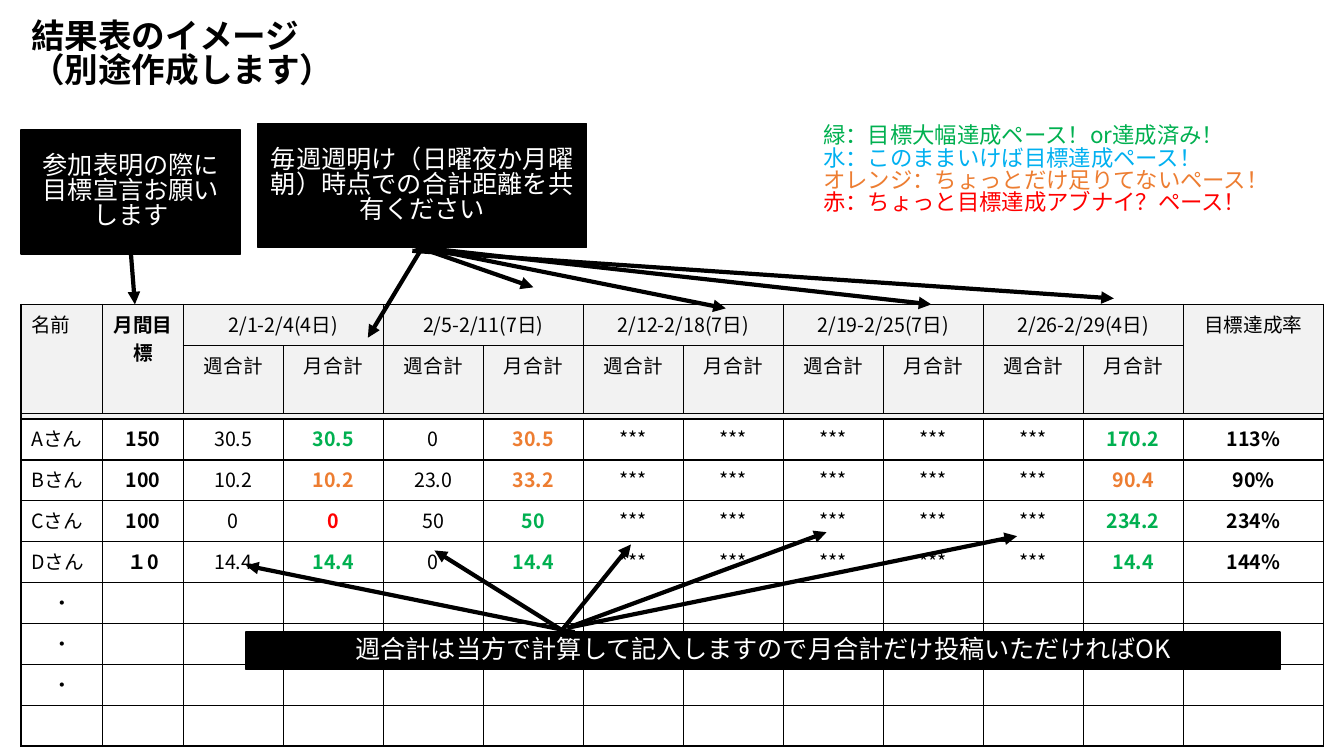
from lxml import etree
from pptx import Presentation
from pptx import util as u
from pptx.dml.color import RGBColor
from pptx.enum import shapes, text
from pptx.oxml import ns

FONT = "Noto Sans CJK JP"
COLORS = {
    "black": "000000", "white": "FFFFFF", "header": "F2F2F2",
    "green": "00B050", "aqua": "00B0F0", "orange": "ED7D31", "red": "FF0000",
}
WEEKS = ["2/1-2/4(4日)", "2/5-2/11(7日)", "2/12-2/18(7日)", "2/19-2/25(7日)", "2/26-2/29(4日)"]
HIDDEN = ["***"] * 5
RESULTS = [
    ["Aさん", "150", "30.5", ("30.5", "green"), "0", ("30.5", "orange"), *HIDDEN, ("170.2", "green"), "113%"],
    ["Bさん", "100", "10.2", ("10.2", "orange"), "23.0", ("33.2", "orange"), *HIDDEN, ("90.4", "orange"), "90%"],
    ["Cさん", "100", "0", ("0", "red"), "50", ("50", "green"), *HIDDEN, ("234.2", "green"), "234%"],
    ["Dさん", "１0", "14.4", ("14.4", "green"), "0", ("14.4", "green"), *HIDDEN, ("14.4", "green"), "144%"],
]
COLUMN_WIDTHS = [2.06, 2.03] + [2.52] * 10 + [3.54]
ROW_HEIGHTS = [1.04, 1.7, 0.15] + [1.03] * 8
DIVIDER_ROW, FIRST_RESULT_ROW = 2, 3
GOAL_COLUMN, RATE_COLUMN = 1, 12
LEGEND = [
    ("緑：目標大幅達成ペース！or達成済み！", "green"),
    ("水：このままいけば目標達成ペース！", "aqua"),
    ("オレンジ：ちょっとだけ足りてないペース！", "orange"),
    ("赤：ちょっと目標達成アブナイ？ペース！", "red"),
]


def rgb(name):
    """Return the named colour."""
    return RGBColor.from_string(COLORS[name])


def add_run(paragraph, words, size, color="black", bold=False):
    """Append one formatted run to a paragraph."""
    run = paragraph.add_run()
    run.text = words
    run.font.size = u.Pt(size)
    run.font.bold = bold
    run.font.name = FONT
    run.font.color.rgb = rgb(color)
    etree.SubElement(run._r.get_or_add_rPr(), ns.qn("a:ea"), typeface=FONT)


def write_lines(frame, lines, size, bold=False, align=text.PP_ALIGN.LEFT):
    """Fill a text frame with one paragraph per (words, colour) line."""
    frame.word_wrap = True
    for number, (words, color) in enumerate(lines):
        paragraph = frame.add_paragraph() if number else frame.paragraphs[0]
        paragraph.alignment = align
        paragraph.line_spacing = 0.83
        paragraph.space_before = u.Pt(0)
        add_run(paragraph, words, size, color, bold)


def add_title(slide):
    """Place the two-line title at the top left."""
    title = slide.shapes.title
    title.left, title.top, title.width, title.height = map(u.Cm, (0.53, 0.43, 8.28, 2.31))
    title.text_frame.auto_size = text.MSO_AUTO_SIZE.NONE
    title.text_frame.vertical_anchor = text.MSO_ANCHOR.TOP
    write_lines(title.text_frame, [("結果表のイメージ", "black"), ("（別途作成します）", "black")], 24, bold=True)


def add_legend(slide):
    """Add the colour explanations at the top right."""
    legend = slide.shapes.add_textbox(*map(u.Cm, (20.5, 3.05, 12.85, 3)))
    write_lines(legend.text_frame, LEGEND, 16)


def add_note(slide, words, *place):
    """Add a black box with centred white words."""
    note = slide.shapes.add_shape(shapes.MSO_SHAPE.RECTANGLE, *map(u.Cm, place))
    note.shadow.inherit = False
    note.fill.solid()
    note.fill.fore_color.rgb = rgb("black")
    note.line.color.rgb = rgb("black")
    note.line.width = u.Pt(1)
    note.text_frame.vertical_anchor = text.MSO_ANCHOR.MIDDLE
    write_lines(note.text_frame, [(words, "white")], 18, align=text.PP_ALIGN.CENTER)
    return note


def add_arrow(slide, start, end, note=None):
    """Draw an arrow, joined to the bottom of a note if one is given."""
    arrow = slide.shapes.add_connector(shapes.MSO_CONNECTOR.STRAIGHT, *map(u.Cm, start + end))
    if note is not None:
        arrow.begin_connect(note, 2)
    arrow.line.color.rgb = rgb("black")
    arrow.line.width = u.Pt(3)
    etree.SubElement(arrow.line._get_or_add_ln(), ns.qn("a:tailEnd"), type="triangle")
    etree.SubElement(arrow._element.spPr, ns.qn("a:effectLst"))


def style_cell(cell, row):
    """Set borders, fill, and the height of an empty line."""
    properties = cell._tc.get_or_add_tcPr()
    for side in ("a:lnL", "a:lnR", "a:lnT", "a:lnB"):
        border = etree.SubElement(properties, ns.qn(side), w=str(u.Pt(1)))
        fill = etree.SubElement(border, ns.qn("a:solidFill"))
        etree.SubElement(fill, ns.qn("a:srgbClr"), val=COLORS["black"])
    if row < FIRST_RESULT_ROW:
        cell.fill.solid()
        cell.fill.fore_color.rgb = rgb("header")
    else:
        cell.fill.background()
    if row == DIVIDER_ROW:
        cell.margin_top = cell.margin_bottom = 0
    size = "100" if row == DIVIDER_ROW else "1400"
    etree.SubElement(cell.text_frame.paragraphs[0]._p, ns.qn("a:endParaRPr"), sz=size)


def write_cell(cell, words, color="black", bold=False, align=text.PP_ALIGN.CENTER):
    """Write one run into a table cell."""
    paragraph = cell.text_frame.paragraphs[0]
    paragraph.alignment = align
    add_run(paragraph, words, 14, color, bold)


def write_header(table):
    """Merge and label the header rows."""
    for column, label in ((0, "名前"), (GOAL_COLUMN, "月間目標"), (RATE_COLUMN, "目標達成率")):
        table.cell(0, column).merge(table.cell(1, column))
        align = text.PP_ALIGN.CENTER if column else text.PP_ALIGN.LEFT
        write_cell(table.cell(0, column), label, bold=column == GOAL_COLUMN, align=align)
    for week, label in enumerate(WEEKS):
        column = 2 + 2 * week
        table.cell(0, column).merge(table.cell(0, column + 1))
        write_cell(table.cell(0, column), label)
        write_cell(table.cell(1, column), "週合計")
        write_cell(table.cell(1, column + 1), "月合計")
    table.cell(DIVIDER_ROW, 0).merge(table.cell(DIVIDER_ROW, RATE_COLUMN))


def write_results(table):
    """Write each member's distances and the rows left open."""
    for row, record in enumerate(RESULTS, FIRST_RESULT_ROW):
        for column, entry in enumerate(record):
            words, color = entry if isinstance(entry, tuple) else (entry, "black")
            bold = color != "black" or column in (GOAL_COLUMN, RATE_COLUMN)
            align = text.PP_ALIGN.CENTER if column else text.PP_ALIGN.LEFT
            write_cell(table.cell(row, column), words, color, bold, align)
    first_open = FIRST_RESULT_ROW + len(RESULTS)
    for row in range(first_open, first_open + 3):
        write_cell(table.cell(row, 0), "・")


def add_results_table(slide):
    """Add the monthly results table."""
    place = map(u.Cm, (0.53, 7.67, sum(COLUMN_WIDTHS), sum(ROW_HEIGHTS)))
    table = slide.shapes.add_table(len(ROW_HEIGHTS), len(COLUMN_WIDTHS), *place).table
    table.first_row = table.horz_banding = False
    for column, width in zip(table.columns, COLUMN_WIDTHS):
        column.width = u.Cm(width)
    for number, (row, height) in enumerate(zip(table.rows, ROW_HEIGHTS)):
        row.height = u.Cm(height)
        for cell in row.cells:
            style_cell(cell, number)
    write_header(table)
    write_results(table)


def main():
    """Build the results slide and save it."""
    deck = Presentation()
    deck.slide_width, deck.slide_height = u.Cm(33.87), u.Cm(19.05)
    slide = deck.slides.add_slide(deck.slide_layouts[5])
    add_results_table(slide)
    add_legend(slide)
    add_title(slide)

    goal = add_note(slide, "参加表明の際に目標宣言お願いします", 0.53, 3.28, 5.54, 3.12)
    weekly = add_note(slide, "毎週週明け（日曜夜か月曜朝）時点での合計距離を共有ください", 6.5, 3.12, 8.28, 3.12)
    add_arrow(slide, (3.3, 6.4), (3.4, 7.67), goal)
    for target in ((9.27, 8.51), (18.29, 7.77), (23.47, 7.67)):
        add_arrow(slide, (10.64, 6.24), target, weekly)
    add_arrow(slide, (9.27, 5.79), (13.44, 7.24))
    add_arrow(slide, (10.39, 6.32), (28.07, 7.52))

    add_note(slide, "週合計は当方で計算して記入しますので月合計だけ投稿いただければOK", 6.2, 15.93, 26.06, 0.94)
    for start, target in (
        ((14.48, 15.93), (6.2, 14.25)),
        ((14.48, 16.08), (10.95, 13.87)),
        ((14.12, 15.93), (15.9, 13.72)),
        ((14.3, 15.82), (20.83, 13.41)),
        ((14.3, 15.82), (25.63, 13.51)),
    ):
        add_arrow(slide, start, target)
    deck.save("out.pptx")


if __name__ == "__main__":
    main()
